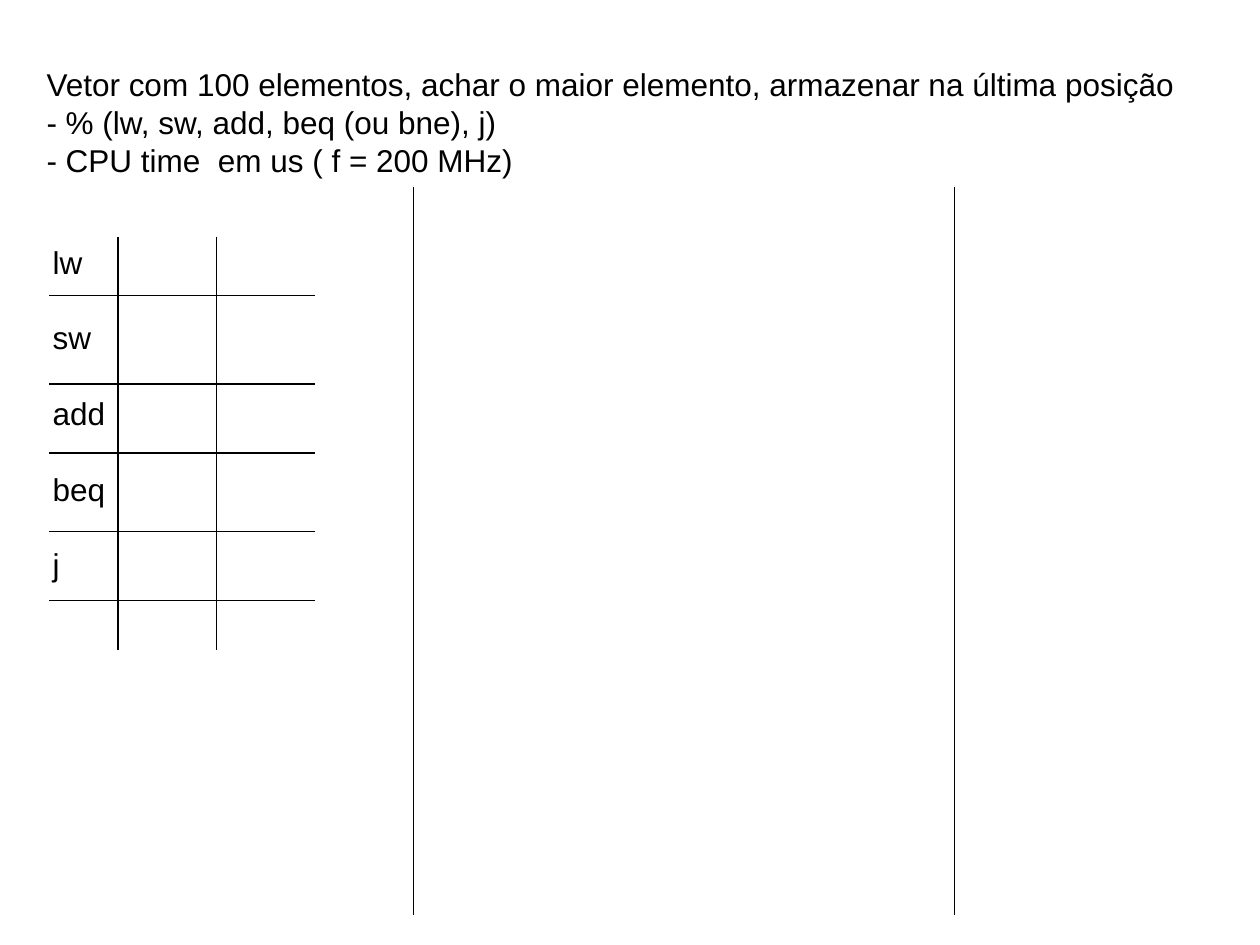
from dataclasses import dataclass

from lxml import etree
from pptx import Presentation
from pptx.dml import color
from pptx.enum import shapes, text
from pptx.oxml import ns
from pptx.util import Pt


@dataclass(frozen=True)
class Theme:
    font: str = "Arial"
    ink: color.RGBColor = color.RGBColor(0, 0, 0)
    size: float = 18
    leading: float = 21.6
    line_width: float = 0.75


def write_text(frame, lines, *, theme, gap=0):
    """Fill a text frame with one paragraph per line, gap points apart."""
    frame.word_wrap = True
    frame.auto_size = text.MSO_AUTO_SIZE.NONE
    frame.vertical_anchor = text.MSO_ANCHOR.TOP
    for index, line in enumerate(lines):
        paragraph = frame.add_paragraph() if index else frame.paragraphs[0]
        paragraph.text = line
        paragraph.alignment = text.PP_ALIGN.LEFT
        paragraph.line_spacing = Pt(theme.leading)
        paragraph.space_before = Pt(gap if index else 0)
        paragraph.space_after = Pt(0)
        paragraph.font.name = theme.font
        paragraph.font.size = Pt(theme.size)
        paragraph.font.color.rgb = theme.ink


class SlideBuilder:
    def __init__(self, slide, theme):
        self.slide = slide
        self.theme = theme

    def title(self, lines, left, top, width, height):
        shape = self.slide.shapes.title
        shape.left, shape.top = Pt(left), Pt(top)
        shape.width, shape.height = Pt(width), Pt(height)
        write_text(shape.text_frame, lines, theme=self.theme)

    def labels(self, lines, left, top, width, height, gap):
        shape = self.slide.shapes.add_textbox(Pt(left), Pt(top), Pt(width), Pt(height))
        write_text(shape.text_frame, lines, theme=self.theme, gap=gap)

    def line(self, x1, y1, x2, y2):
        connector = self.slide.shapes.add_connector(
            shapes.MSO_CONNECTOR.STRAIGHT, Pt(x1), Pt(y1), Pt(x2), Pt(y2))
        connector.line.color.rgb = self.theme.ink
        connector.line.width = Pt(self.theme.line_width)
        etree.SubElement(connector.element.spPr, ns.qn("a:effectLst"))

    def horizontals(self, positions, left, right):
        for y in positions:
            self.line(left, y, right, y)

    def verticals(self, positions, top, bottom):
        for x in positions:
            self.line(x, top, x, bottom)


def main():
    presentation = Presentation()
    presentation.slide_width, presentation.slide_height = Pt(720), Pt(540)
    title_only = presentation.slide_layouts[5]
    theme = Theme()
    builder = SlideBuilder(presentation.slides.add_slide(title_only), theme)

    builder.title([
        "Vetor com 100 elementos, achar o maior elemento, armazenar na última posição",
        "- % (lw, sw, add, beq (ou bne), j)",
        "- CPU time  em us ( f = 200 MHz)",
    ], 19.4, 33.8, 680, 72)

    grid_top = 135.2
    builder.labels(["lw", "sw", "add", "beq", "j"],
                   23, grid_top, 50, 201.6, gap=theme.leading)
    builder.horizontals([168.8, 219.4, 258.8, 303.8, 343.2], 28.1, 180)
    builder.verticals([67.5, 123.8], grid_top, 371.2)

    builder.verticals([236.2, 545.6], 106.8, 523.1)
    presentation.save("out.pptx")


if __name__ == "__main__":
    main()
